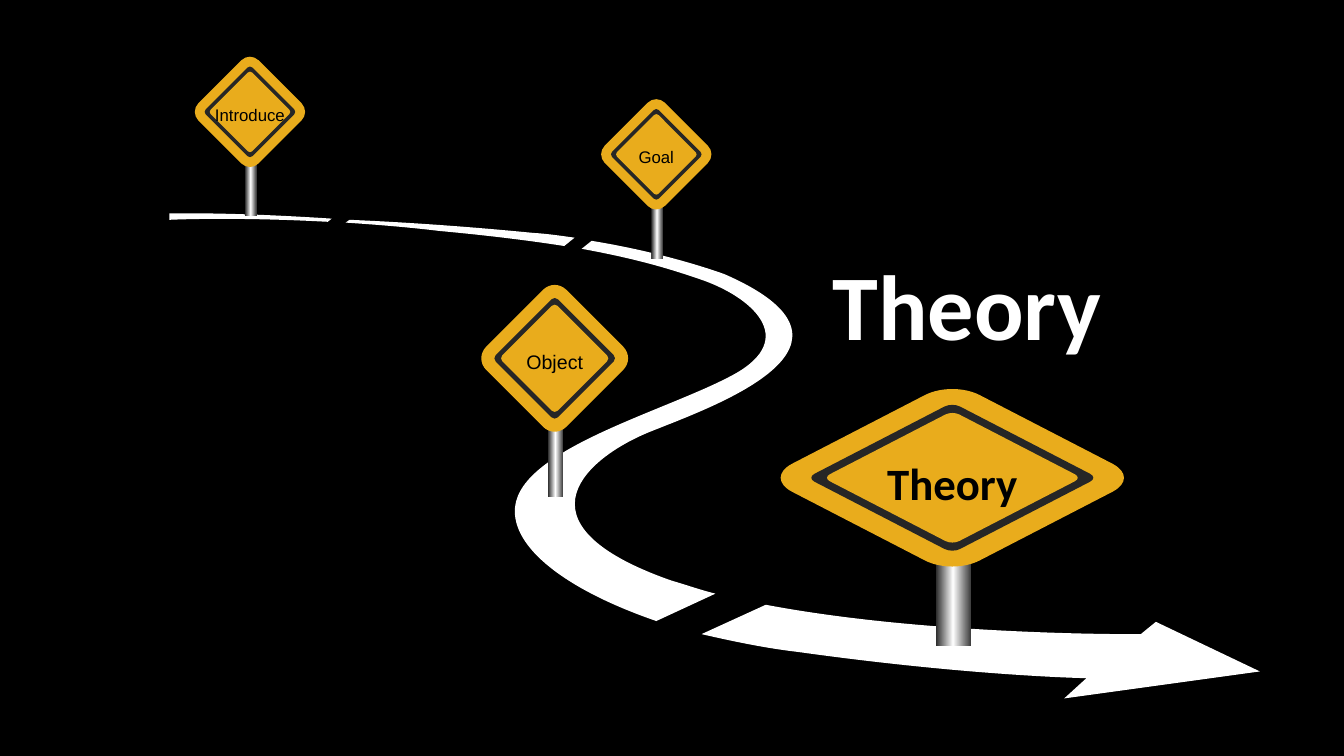
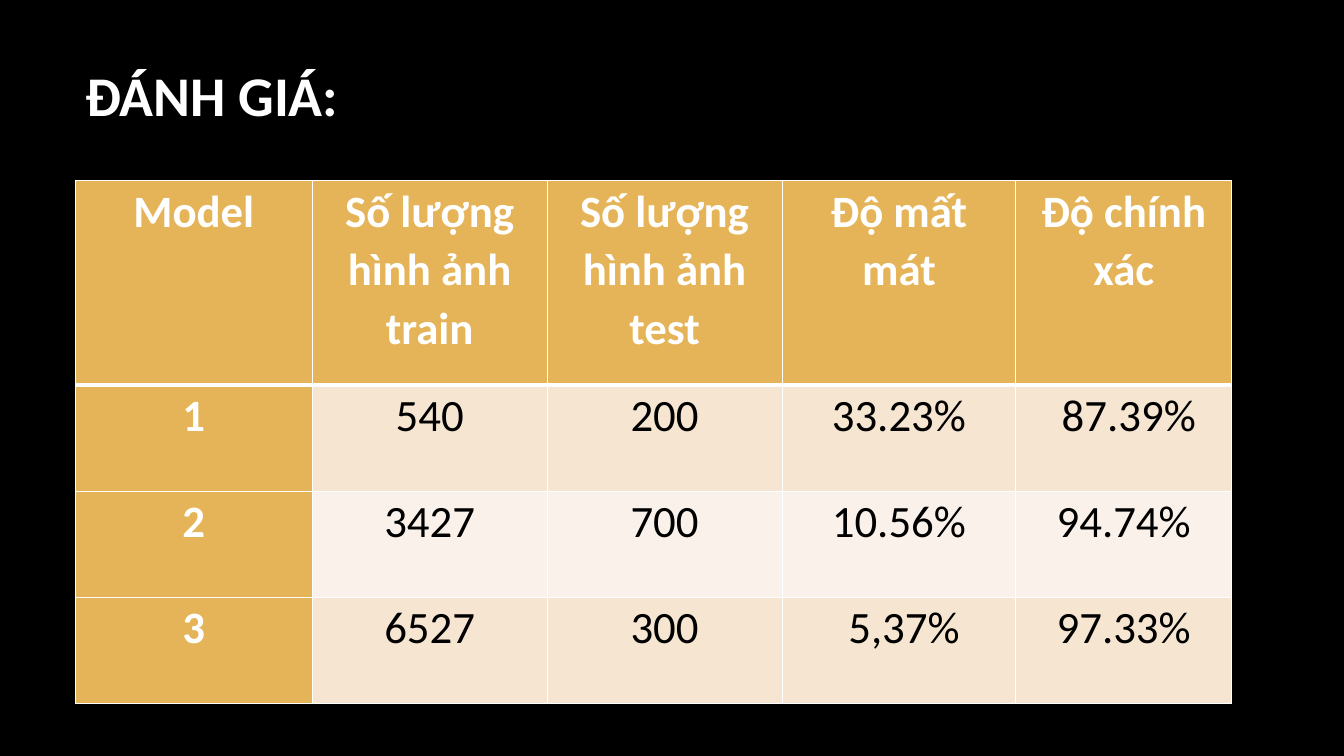
from copy import deepcopy
from dataclasses import dataclass

from lxml import etree
from pptx import Presentation
from pptx import util as u
from pptx.dml.color import RGBColor
from pptx.enum import shapes, text
from pptx.oxml import ns


@dataclass(frozen=True)
class Theme:
    background: str = "000000"
    light: str = "FFFFFF"
    dark: str = "000000"
    plate: str = "E9AC1C"
    frame: str = "262626"
    post: tuple = ((0, "262626"), (0.5, "FFFFFF"), (1, "404040"))
    header: str = "E5B458"
    bands: tuple = ("F5E5D1", "FAF2EA")
    heading_font: str = "Calibri"
    label_font: str = "Arial"
    hero_size: int = 66
    title_size: int = 40
    strong_size: int = 32
    label_size: int = 14
    small_size: int = 12


THEME = Theme()

ROAD = [
    [(4.27, 5.38), (4.27, 5.54), (4.27, 5.54, 5.84, 5.46, 8.26, 5.59),
     (8.36, 5.51), (6.83, 5.41, 5.36, 5.36, 4.27, 5.38)],
    [(13.44, 5.87), (12.12, 5.74, 10.46, 5.61, 8.81, 5.54), (8.71, 5.61),
     (9.45, 5.66, 10.24, 5.72, 11.07, 5.82),
     (12.37, 5.94, 13.39, 6.07, 14.22, 6.2), (14.48, 5.99),
     (14.12, 5.94, 13.79, 5.89, 13.44, 5.87)],
    [(16.92, 14.63), (12.78, 13.18, 14.83, 11.48, 16.46, 10.85),
     (18.06, 10.21, 22.33, 8.69, 18.26, 6.91),
     (18.26, 6.91, 16.84, 6.38, 14.91, 6.07), (14.66, 6.27),
     (16.08, 6.53, 16.89, 6.78, 17.65, 7.04),
     (18.92, 7.47, 20.17, 8.53, 18.47, 9.45),
     (16.79, 10.36, 13.13, 11.3, 12.98, 12.78),
     (12.88, 13.79, 14.25, 14.86, 16.54, 15.65), (18.03, 14.96),
     (17.63, 14.86, 17.27, 14.73, 16.92, 14.63)],
    [(31.75, 16.92), (29.13, 15.67), (28.75, 15.98),
     (28.75, 15.98, 23.47, 16.03, 19.3, 15.24), (17.68, 15.98),
     (18.42, 16.15, 19.25, 16.33, 20.12, 16.43),
     (24.49, 17.04, 27.38, 17.09, 27.38, 17.09), (26.82, 17.6)],
]

SIGNS = [
    ("Introduce", (6.3, 2.82), (2.84, 2.84), {"size": THEME.small_size}),
    ("Goal", (16.54, 3.89), (2.84, 2.84), {"size": THEME.small_size}),
    ("Object", (13.98, 9.03), (3.78, 3.78), {"size": THEME.label_size}),
    ("Theory", (24, 12.04), (8.84, 4.57),
     {"size": THEME.strong_size, "font": THEME.heading_font, "bold": True}),
]

RESULTS = [
    ("Model", "Số lượng hình ảnh train", "Số lượng hình ảnh test",
     "Độ mất mát", "Độ chính xác"),
    ("1", "540", "200", "33.23%", " 87.39%"),
    ("2", "3427", "700", "10.56%", "94.74%"),
    ("3", "6527", "300", " 5,37%", "97.33%"),
]
COLUMN_WIDTHS = (5.97, 5.92, 5.92, 5.89, 5.44)
ROW_HEIGHTS = (5.16, 2.67, 2.67, 2.67)


def rgb(value):
    return RGBColor.from_string(value)


def write(frame, content, *, size, color, font=THEME.heading_font, bold=False,
          align=text.PP_ALIGN.CENTER, spacing=1.0):
    para = frame.paragraphs[0]
    para.alignment = align
    para.line_spacing = spacing
    span = para.add_run()
    span.text = content
    span.font.name = font
    span.font.size = u.Pt(size)
    span.font.bold = bold
    span.font.color.rgb = rgb(color)


def place(shape, left, top, width, height):
    shape.left, shape.top = u.Cm(left), u.Cm(top)
    shape.width, shape.height = u.Cm(width), u.Cm(height)


def bend(outline, segments):
    lines = iter(list(outline.element.iter(ns.qn("a:lnTo"))))
    for segment in segments[1:]:
        knots = [next(lines) for _ in range(len(segment) // 2)]
        if len(knots) == 3:
            curve = etree.Element(ns.qn("a:cubicBezTo"))
            knots[0].addprevious(curve)
            for knot in knots:
                curve.append(knot[0])
                knot.getparent().remove(knot)


def add_outline(parent, segments, color):
    knots = [(u.Cm(x), u.Cm(y)) for segment in segments
             for x, y in zip(segment[::2], segment[1::2])]
    builder = parent.build_freeform(*knots[0])
    builder.add_line_segments(knots[1:], close=True)
    outline = builder.convert_to_shape()
    bend(outline, segments)
    outline.fill.solid()
    outline.fill.fore_color.rgb = rgb(color)
    outline.line.fill.background()
    outline.shadow.inherit = False


def add_diamond(parent, center, size, rounding, color):
    tip = [(1 - rounding, -1.8 * rounding), (1, -0.75 * rounding),
           (1, 0.75 * rounding), (1 - rounding, 1.8 * rounding)]
    segments = []
    for _ in range(4):
        knots = [(center[0] + x * size[0] / 2, center[1] + y * size[1] / 2)
                 for x, y in tip]
        segments += [knots[0], knots[1] + knots[2] + knots[3]]
        tip = [(-y, x) for x, y in tip]
    add_outline(parent, segments, color)


def add_post(parent, left, top, width, height):
    post = parent.add_shape(shapes.MSO_SHAPE.RECTANGLE, u.Cm(left), u.Cm(top),
                            u.Cm(width), u.Cm(height))
    post.line.fill.background()
    post.shadow.inherit = False
    post.fill.gradient()
    post.fill.gradient_angle = 0
    stop_list = post.element.spPr.find(ns.qn("a:gradFill")).find(ns.qn("a:gsLst"))
    stop_list.insert(1, deepcopy(stop_list[0]))
    for stop, (position, color) in zip(post.fill.gradient_stops, THEME.post):
        stop.position = position
        stop.color.rgb = rgb(color)


def add_sign(page, label, center, size, style):
    (x, y), (width, height) = center, size
    sign = page.shapes.add_group_shape().shapes
    add_post(sign, x - 0.05 * width + 0.02, y + 0.455 * height,
             0.1 * width, 0.472 * height)
    for scale, rounding, color in ((1, 0.085, THEME.plate),
                                   (0.81, 0.03, THEME.frame),
                                   (0.72, 0.03, THEME.plate)):
        add_diamond(sign, center, (width * scale, height * scale), rounding, color)
    box = sign.add_textbox(u.Cm(x - 0.437 * width), u.Cm(y - 0.125 * height),
                           u.Cm(0.874 * width), u.Cm(0.3 * height))
    box.text_frame.word_wrap = True
    box.text_frame.vertical_anchor = text.MSO_ANCHOR.MIDDLE
    write(box.text_frame, label,
          **{"font": THEME.label_font, "color": THEME.dark, **style})


def add_page(deck, heading, bounds, size):
    page = deck.slides.add_slide(deck.slide_layouts.get_by_name("Title Only"))
    title = page.shapes.title
    place(title, *bounds)
    title.text_frame.auto_size = text.MSO_AUTO_SIZE.NONE
    title.text_frame.vertical_anchor = text.MSO_ANCHOR.MIDDLE
    write(title.text_frame, heading, size=size, color=THEME.light, bold=True,
          align=text.PP_ALIGN.LEFT)
    return page


def set_borders(cell, **widths):
    properties = cell._tc.get_or_add_tcPr()
    for index, side in enumerate("LRTB"):
        line = etree.Element(ns.qn(f"a:ln{side}"), w=str(u.Pt(widths.get(side, 1))))
        fill = etree.SubElement(line, ns.qn("a:solidFill"))
        etree.SubElement(fill, ns.qn("a:srgbClr"), val=THEME.light)
        properties.insert(index, line)


def add_results(page, left, top):
    table = page.shapes.add_table(
        len(RESULTS), len(COLUMN_WIDTHS), u.Cm(left), u.Cm(top),
        u.Cm(sum(COLUMN_WIDTHS)), u.Cm(sum(ROW_HEIGHTS))).table
    table.first_col = True
    for column, width in zip(table.columns, COLUMN_WIDTHS):
        column.width = u.Cm(width)
    for row, height in zip(table.rows, ROW_HEIGHTS):
        row.height = u.Cm(height)
    for r, values in enumerate(RESULTS):
        for c, value in enumerate(values):
            cell = table.cell(r, c)
            heading = r == 0 or c == 0
            cell.margin_left = cell.margin_right = u.Cm(0.18)
            cell.margin_top = cell.margin_bottom = 0
            cell.fill.solid()
            cell.fill.fore_color.rgb = rgb(
                THEME.header if heading else THEME.bands[(r - 1) % 2])
            set_borders(cell, T=3 if r == 1 else 1, B=3 if r == 0 else 1)
            write(cell.text_frame, value, size=THEME.strong_size, bold=heading,
                  color=THEME.light if heading else THEME.dark, spacing=1.07)


def main():
    deck = Presentation()
    deck.slide_width, deck.slide_height = u.Cm(33.87), u.Cm(19.05)
    backdrop = deck.slide_master.background.fill
    backdrop.solid()
    backdrop.fore_color.rgb = rgb(THEME.background)

    roadmap = add_page(deck, "Theory", (20.73, 6.12, 7.34, 3.07), THEME.hero_size)
    for stretch in ROAD:
        add_outline(roadmap.shapes, stretch, THEME.light)
    for sign in SIGNS:
        add_sign(roadmap, *sign)

    evaluation = add_page(deck, "ĐÁNH GIÁ:", (1.9, 1.07, 28.14, 2.59),
                          THEME.title_size)
    add_results(evaluation, 1.9, 4.55)
    deck.save("out.pptx")


if __name__ == "__main__":
    main()
